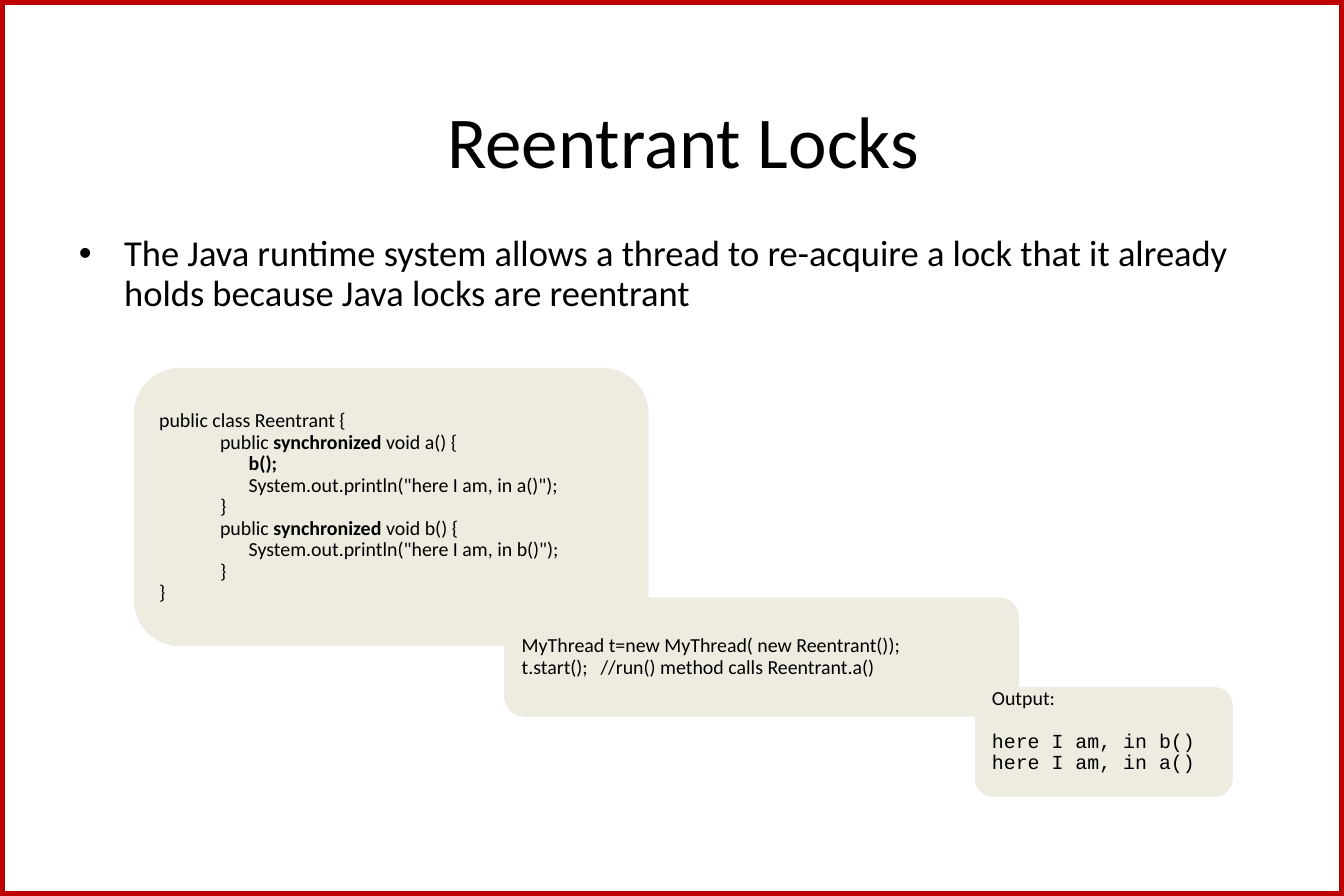
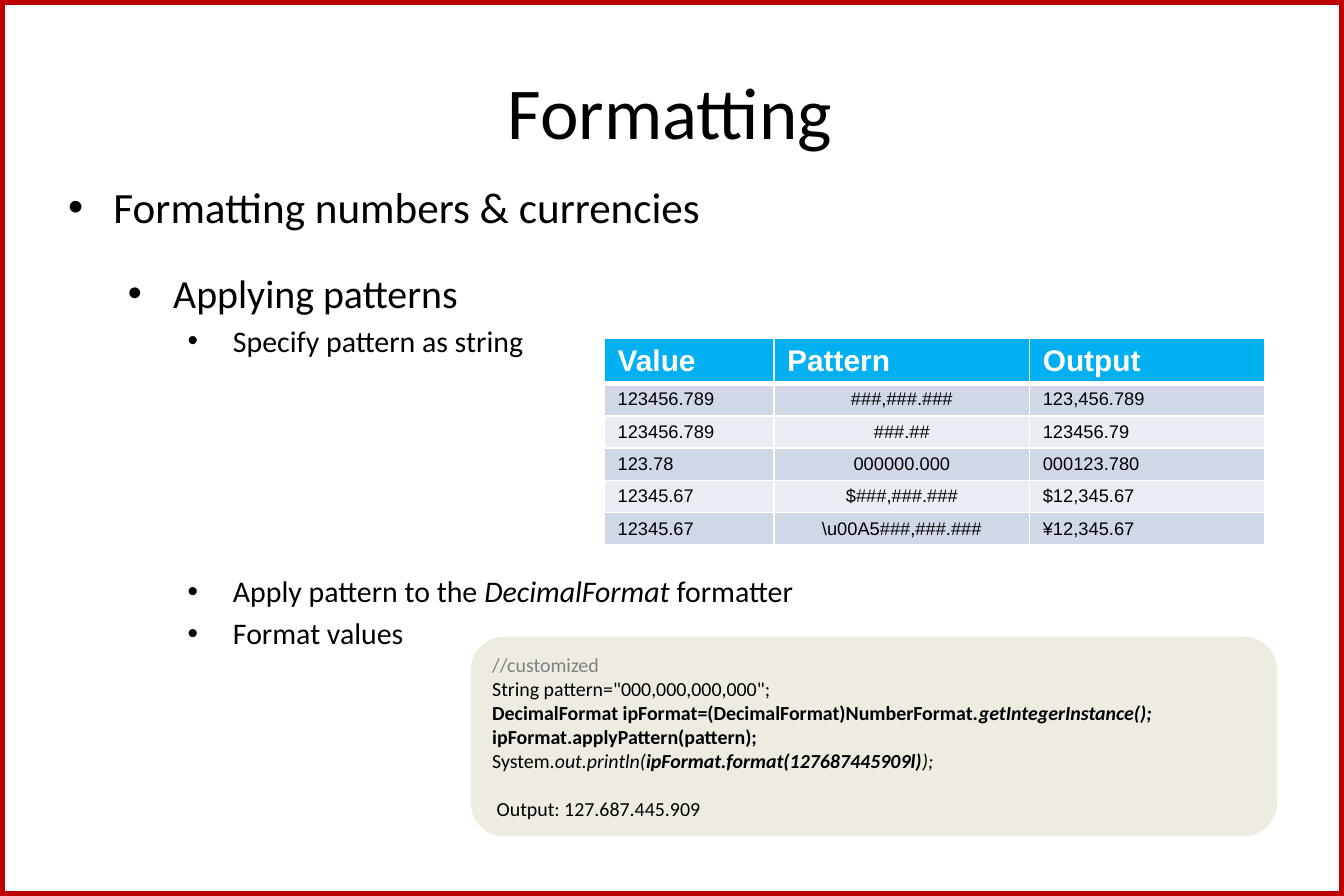
"""Build two Java teaching slides: reentrant locks and number formatting."""
from lxml import etree
from pptx import Presentation
from pptx.dml.color import RGBColor
from pptx.enum import shapes, text
from pptx.oxml import ns
from pptx.util import Inches, Pt

RED, BEIGE, BLACK, GREY, WHITE = "C00000", "EEECE1", "000000", "808080", "FFFFFF"
HEADER, BANDS = "00B0F0", ("D0D8E8", "E9EDF4")


def paint(fill, color):
    """Give a fill, line fill or font fill one solid colour."""
    fill.solid()
    fill.fore_color.rgb = RGBColor.from_string(color)


def write(p, runs, size, font="Calibri", color=BLACK):
    """Write (text, style) runs, where style holds b for bold and i for italic."""
    for words, style in runs:
        r = p.add_run()
        r.text = words
        r.font.size, r.font.name = Pt(size), font
        r.font.bold, r.font.italic = "b" in style, "i" in style
        paint(r.font.fill, color)


prs = Presentation()
prs.slide_width, prs.slide_height = Inches(11.25), Inches(7.5)

slides = [
    ("Reentrant Locks", (1.41, 0.67, 8.62, 0.99), (0.56, 1.92, 10.5, 5), [
        (0, 22, 0, 0.9, [("The Java runtime system allows a thread to re-acquire a lock "
                          "that it already holds because Java locks are reentrant", "")]),
    ]),
    ("Formatting", (0.55, 0.3, 10.12, 1.25), (0.47, 1.46, 10.69, 5.55), [
        (0, 26, 0, 1, [("Formatting numbers & currencies", "")]),
        (1, 24, 22, 1, [("Applying patterns", "")]),
        (2, 18, 3.6, 1, [("Specify pattern as string", "")]),
        (2, 18, 129.5, 1, [("Apply pattern to the ", ""), ("DecimalFormat", "i"),
                           (" formatter", "")]),
        (2, 18, 3.6, 1, [("Format values", "")]),
    ]),
]
for title, title_at, body_at, items in slides:
    s = prs.slides.add_slide(prs.slide_layouts[1])
    body = s.placeholders[1]
    for sp, at in ((s.shapes.title, title_at), (body, body_at)):
        sp.left, sp.top, sp.width, sp.height = map(Inches, at)
        sp.text_frame.auto_size = text.MSO_AUTO_SIZE.NONE
    write(s.shapes.title.text_frame.paragraphs[0], [(title, "")], 44)
    for i, (level, size, before, spacing, runs) in enumerate(items):
        tf = body.text_frame
        p = tf.add_paragraph() if i else tf.paragraphs[0]
        p.level, p.space_before, p.line_spacing = level, Pt(before), spacing
        pPr = p._p.get_or_add_pPr()
        pPr.set("marL", str(Inches(0.38 + 0.5 * level)))
        pPr.set("indent", str(-Inches(0.38)))
        etree.SubElement(pPr, ns.qn("a:buFont")).set("typeface", "Arial")
        etree.SubElement(pPr, ns.qn("a:buChar")).set("char", "•")
        write(p, runs, size)

locks, formatting = prs.slides

frame = locks.shapes.add_shape(shapes.MSO_SHAPE.RECTANGLE, 0, 0, prs.slide_width, prs.slide_height)
frame.shadow.inherit = False
frame.fill.background()
paint(frame.line.fill, RED)
frame.line.width = Pt(5.5)
prs.slide_master.shapes._spTree.insert(2, frame._element)

rows = [
    ("Value", "Pattern", "Output"),
    ("123456.789", "###,###.###", "123,456.789"),
    ("123456.789", "###.##", "123456.79"),
    ("123.78", "000000.000", "000123.780"),
    ("12345.67", "$###,###.###", "$12,345.67"),
    ("12345.67", "\\u00A5###,###.###", "¥12,345.67"),
]
table = formatting.shapes.add_table(len(rows), 3, Inches(5.06), Inches(2.83),
                                    Inches(5.53), Inches(1.61)).table
table.horz_banding = False
for col, width in zip(table.columns, (1.42, 2.14, 1.97)):
    col.width = Inches(width)
for i, row in enumerate(rows):
    table.rows[i].height = Inches(0.25 if i else 0.36)
    for j, words in enumerate(row):
        cell = table.cell(i, j)
        cell.margin_left = cell.margin_right = Inches(0.11)
        cell.margin_top = cell.margin_bottom = Inches(0.05)
        tcPr = cell._tc.get_or_add_tcPr()
        for side in ("lnL", "lnR", "lnT", "lnB"):
            thick = (i == 0 and side == "lnB") or (i == 1 and side == "lnT")
            ln = etree.SubElement(tcPr, ns.qn("a:" + side), w=str(Pt(3 if thick else 1)))
            line_fill = etree.SubElement(ln, ns.qn("a:solidFill"))
            etree.SubElement(line_fill, ns.qn("a:srgbClr"), val=WHITE)
        paint(cell.fill, BANDS[(i - 1) % 2] if i else HEADER)
        p = cell.text_frame.paragraphs[0]
        p.alignment = text.PP_ALIGN.CENTER if i and j == 1 else text.PP_ALIGN.LEFT
        if i:
            write(p, [(words, "")], 11, "Arial")
        else:
            write(p, [(words, "b")], 18, "Arial", WHITE)

plain = ("Calibri", BLACK, 0)
mono = ("Courier New", BLACK, 0)
code_boxes = [
    (locks, (1.12, 3.08, 4.31, 2.33), 0.05, 0.9, (0.51, 0.75), [
        (plain, [("public class Reentrant {", "")]),
        (plain, [("\tpublic ", ""), ("synchronized", "b"), (" void a() {", "")]),
        (plain, [("\t\t", ""), ("b();", "b")]),
        (plain, [('\t\tSystem.out.println("here I am, in a()");', "")]),
        (plain, [("\t}", "")]),
        (plain, [("\tpublic ", ""), ("synchronized", "b"), (" void b() {", "")]),
        (plain, [('\t\tSystem.out.println("here I am, in b()");', "")]),
        (plain, [("\t}", "")]),
        (plain, [("}", "")]),
    ]),
    (locks, (4.22, 5, 4.31, 1), 0.05, 0.9, (0.66,), [
        (plain, [("MyThread t=new MyThread( new Reentrant());", "")]),
        (plain, [("t.start();\t//run() method calls Reentrant.a()", "")]),
    ]),
    (locks, (8.16, 5.75, 2.16, 0.92), 0.23, 0.9, (), [
        (plain, [("Output:", "")]),
        (("Courier New", BLACK, 13.2), [("here I am, in b()", "")]),
        (mono, [("here I am, in a()", "")]),
    ]),
    (formatting, (3.94, 5.33, 6.75, 1.67), 0.05, 1, (), [
        (("Calibri", GREY, 0), [("//customized", "")]),
        (plain, [('String pattern="000,000,000,000";', "")]),
        (plain, [("DecimalFormat ipFormat=(DecimalFormat)NumberFormat.", "b"),
                 ("getIntegerInstance();", "bi")]),
        (plain, [("ipFormat.applyPattern(pattern);", "b")]),
        (plain, [("System.", ""), ("out.println(", "i"),
                 ("ipFormat.format(127687445909l)", "bi"), (");", "i")]),
        (("Calibri", BLACK, 14.6), [(" Output: 127.687.445.909", "")]),
    ]),
]
for s, at, bottom, spacing, tabs, lines in code_boxes:
    sp = s.shapes.add_shape(shapes.MSO_SHAPE.FLOWCHART_ALTERNATE_PROCESS, *map(Inches, at))
    sp.shadow.inherit = False
    paint(sp.fill, BEIGE)
    sp.line.fill.background()
    tf = sp.text_frame
    tf.word_wrap = False
    tf.vertical_anchor = text.MSO_ANCHOR.MIDDLE
    tf.margin_bottom = Inches(bottom)
    for i, ((font, color, before), runs) in enumerate(lines):
        p = tf.add_paragraph() if i else tf.paragraphs[0]
        p.alignment = text.PP_ALIGN.LEFT
        p.line_spacing, p.space_before = spacing, Pt(before)
        if tabs:
            tab_list = etree.SubElement(p._p.get_or_add_pPr(), ns.qn("a:tabLst"))
            for pos in tabs:
                etree.SubElement(tab_list, ns.qn("a:tab"), pos=str(Inches(pos)), algn="l")
        write(p, runs, 12, font, color)

prs.save("out.pptx")
